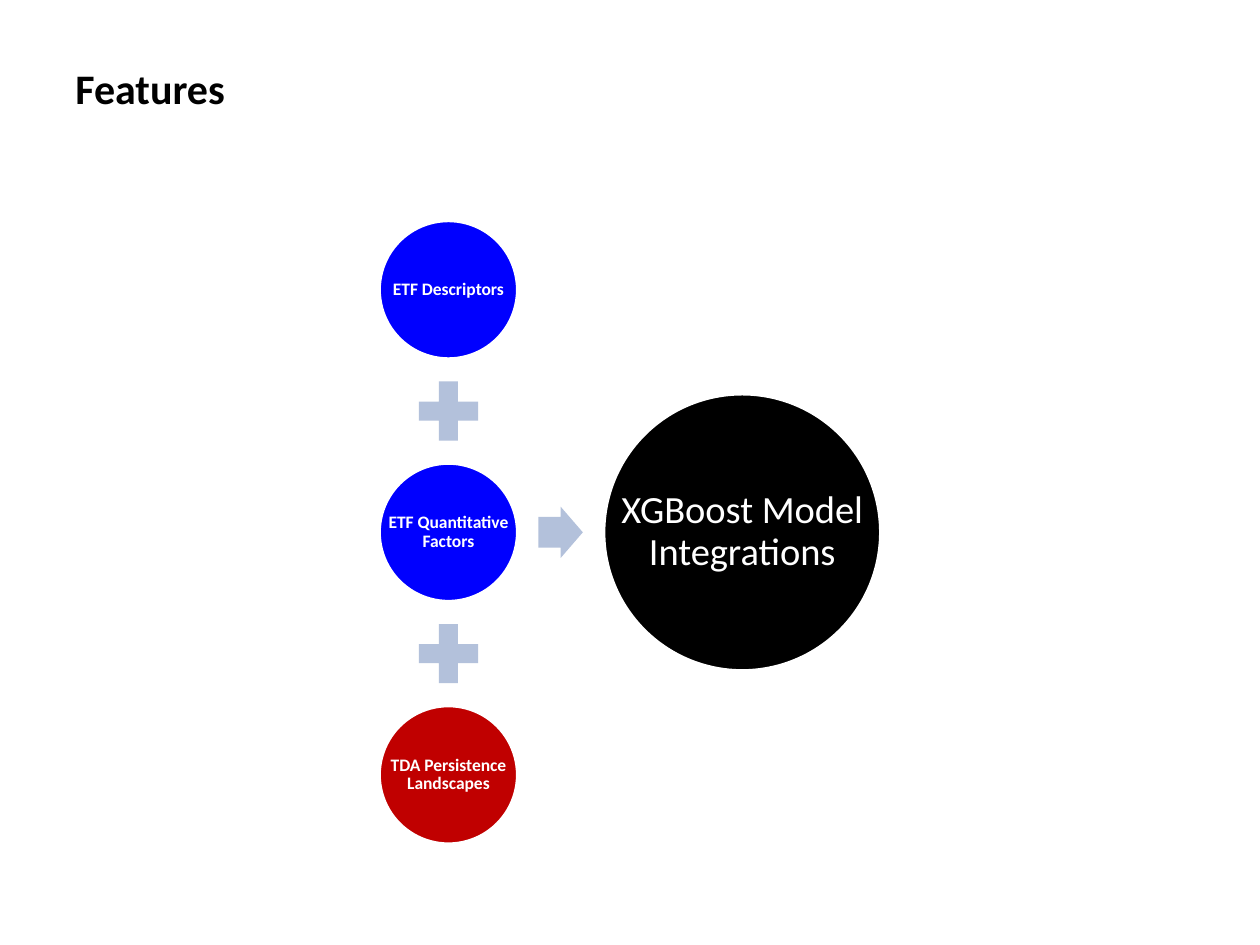
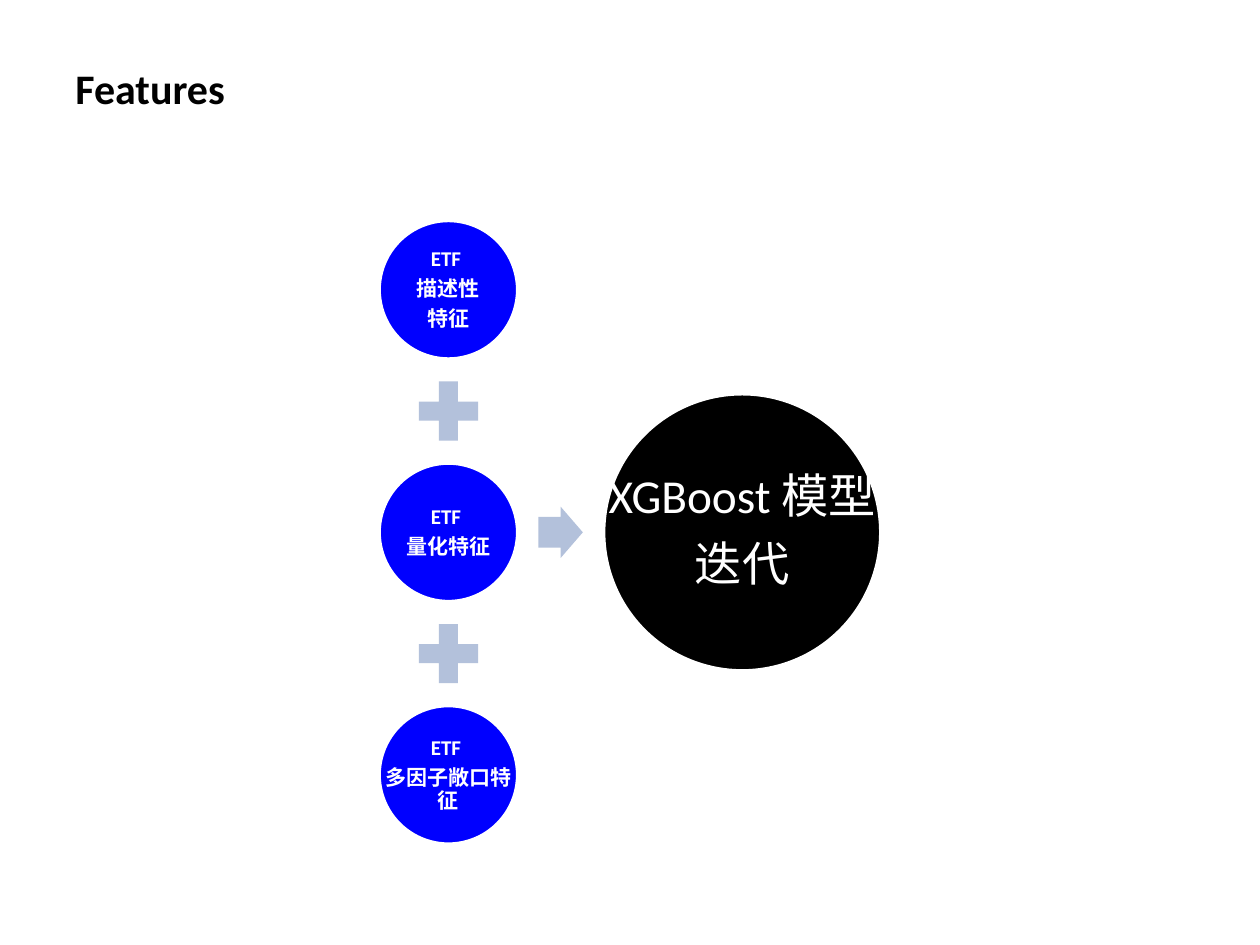
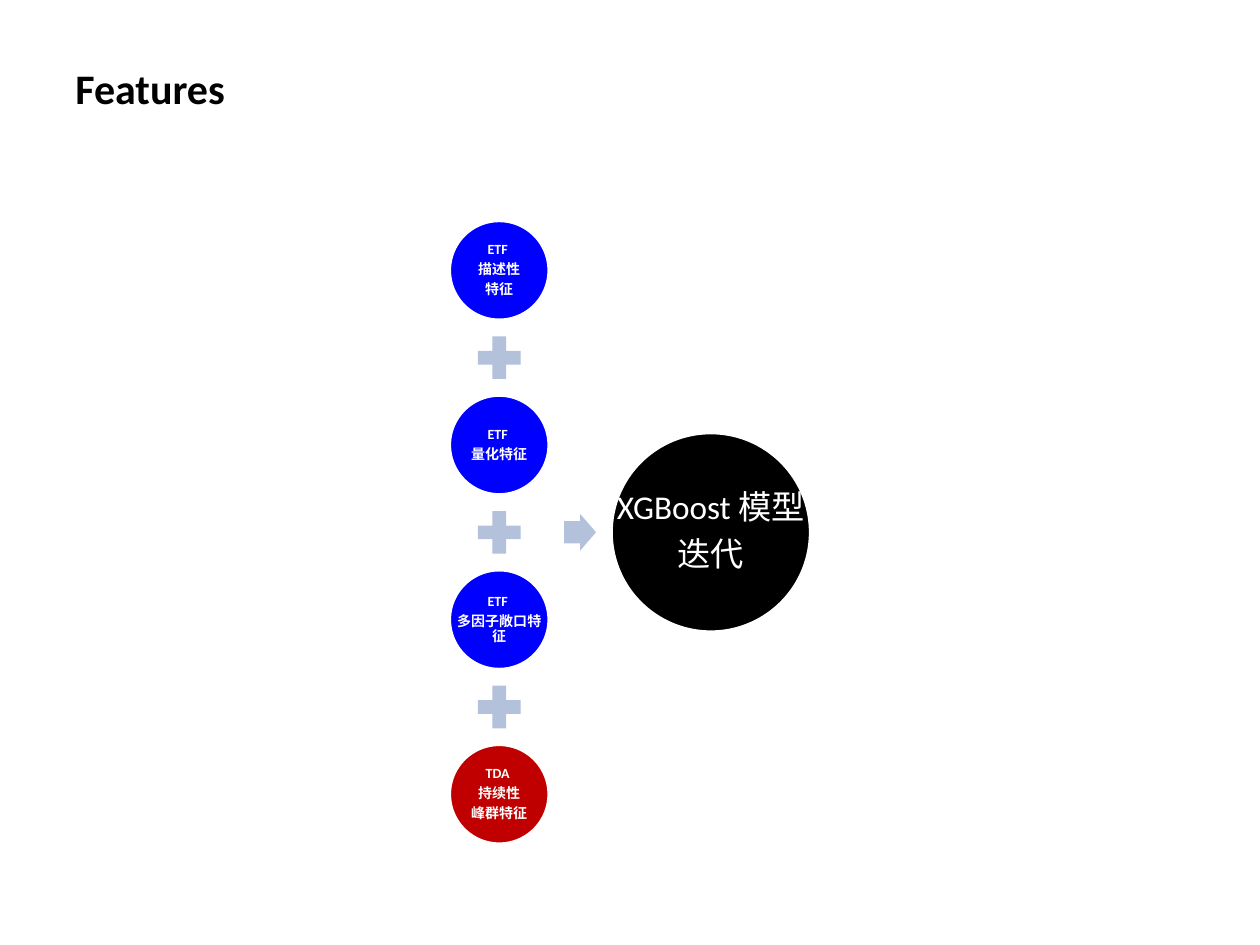
"""Build three slides that show how feature groups add up to a model."""
from dataclasses import dataclass

from lxml.etree import SubElement
from pptx import Presentation
from pptx.dml.color import RGBColor
from pptx.enum.shapes import MSO_SHAPE as Preset
from pptx.enum.text import MSO_ANCHOR as Anchor, PP_ALIGN as Align
from pptx.oxml.ns import qn
from pptx.shapes.autoshape import Shape
from pptx.slide import Slide
from pptx.util import Inches, Pt

WHITE = RGBColor(0xFF, 0xFF, 0xFF)
BLACK = RGBColor(0x00, 0x00, 0x00)
BLUE = RGBColor(0x00, 0x00, 0xFF)
RED = RGBColor(0xC0, 0x00, 0x00)
OPERATOR = RGBColor(0xB3, 0xC1, 0xDB)
FONT = "Calibri"

SLIDE_WIDTH, SLIDE_HEIGHT = Inches(10), Inches(7.5)
COLUMNS, ROWS = 40, 30
COLUMN, ROW = SLIDE_WIDTH / COLUMNS, SLIDE_HEIGHT / ROWS

STACK_TOP, STACK_HEIGHT = 7 * ROW, 19.8 * ROW
PITCH = 1.75
PLUS_SIZE = 0.58
RESULT_SIZE = 2
ARROW_WIDTH, ARROW_HEIGHT, ARROW_GAP = 0.32, 0.37, 0.15


@dataclass(frozen=True)
class Area:
    """A rectangle in EMU."""
    left: float
    top: float
    width: float
    height: float

    def bounds(self) -> tuple[int, int, int, int]:
        """Return the rectangle as whole EMU."""
        return round(self.left), round(self.top), round(self.width), round(self.height)


@dataclass(frozen=True)
class Style:
    """Character formatting."""
    size: float
    color: RGBColor = WHITE
    bold: bool = False


@dataclass(frozen=True)
class Node:
    """A circle with its text."""
    text: str
    fill: RGBColor = BLUE


@dataclass(frozen=True)
class Equation:
    """Features that add up to a result."""
    features: tuple[Node, ...]
    result: Node
    feature_size: float
    result_size: float


TITLE_AREA = Area(2 * COLUMN, 1.2 * ROW, 36 * COLUMN, 3.16 * ROW)
TITLE_STYLE = Style(24, BLACK, True)

DESCRIPTORS = Node("ETF \n描述性\n特征")
FACTORS = Node("ETF \n量化特征")
EXPOSURES = Node("ETF \n多因子敞口特征")
LANDSCAPES = Node("TDA \n持续性\n峰群特征", RED)
MODEL = Node("XGBoost 模型\n迭代", BLACK)

EQUATIONS = (
    Equation(
        (
            Node("ETF Descriptors"),
            Node("ETF Quantitative Factors"),
            Node("TDA Persistence Landscapes", RED),
        ),
        Node("XGBoost Model Integrations", BLACK), 10, 22,
    ),
    Equation((DESCRIPTORS, FACTORS, EXPOSURES), MODEL, 12, 27),
    Equation((DESCRIPTORS, FACTORS, EXPOSURES, LANDSCAPES), MODEL, 8, 19),
)


def centred(x: float, y: float, width: float, height: float) -> Area:
    """Return the area of the given size around a point."""
    return Area(x - width / 2, y - height / 2, width, height)


def add_text(page: Slide, area: Area, text: str, style: Style) -> Shape:
    """Add a wrapping, vertically centred text box."""
    box = page.shapes.add_textbox(*area.bounds())
    frame = box.text_frame
    frame.word_wrap = True
    frame.vertical_anchor = Anchor.MIDDLE
    frame.text = text
    for para in frame.paragraphs:
        for span in para.runs:
            span.font.name = FONT
            span.font.size = Pt(style.size)
            span.font.bold = style.bold
            span.font.color.rgb = style.color
    return box


def add_figure(page: Slide, preset: Preset, area: Area, fill: RGBColor) -> Shape:
    """Add a filled preset shape without outline or shadow."""
    figure = page.shapes.add_shape(preset, *area.bounds())
    figure.shadow.inherit = False
    figure.fill.solid()
    figure.fill.fore_color.rgb = fill
    figure.line.fill.background()
    return figure


def add_node(page: Slide, area: Area, node: Node, style: Style) -> None:
    """Add a circle and the label that spans it."""
    circle = add_figure(page, Preset.OVAL, area, node.fill)
    circle.line.color.rgb = WHITE
    circle.line.width = Pt(2)
    label = add_text(page, area, node.text, style)
    frame = label.text_frame
    inset = Pt(style.size / 10)
    frame.margin_left = frame.margin_right = inset
    frame.margin_top = frame.margin_bottom = inset
    for para in frame.paragraphs:
        para.alignment = Align.CENTER
        para.line_spacing = 0.9
        space_after = SubElement(para._p.get_or_add_pPr(), qn("a:spcAft"))
        SubElement(space_after, qn("a:spcPct"), val="35000")


def add_equation(page: Slide, equation: Equation) -> None:
    """Stack the features with plus signs and point them at the result."""
    count = len(equation.features)
    diameter = STACK_HEIGHT / (1 + PITCH * (count - 1))
    pitch = PITCH * diameter
    arrow_width, gap = ARROW_WIDTH * diameter, ARROW_GAP * diameter
    result_diameter = RESULT_SIZE * diameter
    total_width = diameter + gap + arrow_width + gap + result_diameter
    left = (SLIDE_WIDTH - total_width) / 2
    stack_x = left + diameter / 2
    arrow_x = left + diameter + gap + arrow_width / 2
    result_x = left + total_width - result_diameter / 2
    middle = STACK_TOP + STACK_HEIGHT / 2

    for index, feature in enumerate(equation.features):
        y = STACK_TOP + diameter / 2 + index * pitch
        if index:
            plus = centred(stack_x, y - pitch / 2, PLUS_SIZE * diameter, PLUS_SIZE * diameter)
            add_figure(page, Preset.MATH_PLUS, plus, OPERATOR)
        add_node(page, centred(stack_x, y, diameter, diameter), feature,
                 Style(equation.feature_size, bold=True))

    arrow_area = centred(arrow_x, middle, arrow_width, ARROW_HEIGHT * diameter)
    arrow = add_figure(page, Preset.RIGHT_ARROW, arrow_area, OPERATOR)
    arrow.adjustments[0] = 0.6
    arrow.adjustments[1] = 0.5
    add_node(page, centred(result_x, middle, result_diameter, result_diameter),
             equation.result, Style(equation.result_size))


def main() -> None:
    """Build and save the deck."""
    deck = Presentation()
    deck.slide_width, deck.slide_height = SLIDE_WIDTH, SLIDE_HEIGHT
    for equation in EQUATIONS:
        page = deck.slides.add_slide(deck.slide_layouts[6])
        add_text(page, TITLE_AREA, "Features", TITLE_STYLE)
        add_equation(page, equation)
    deck.save("out.pptx")


if __name__ == "__main__":
    main()
